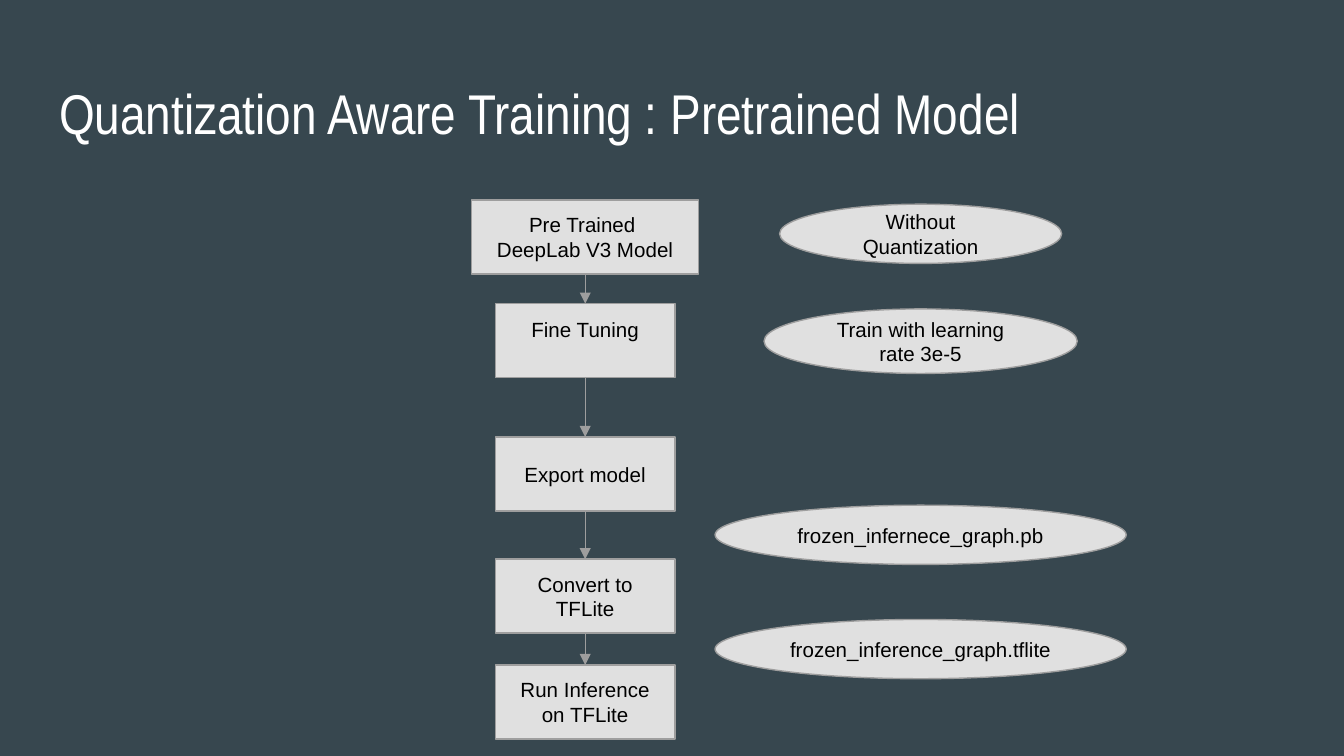
"""Build the slide on quantization aware training of a pretrained model."""
from dataclasses import dataclass
from itertools import pairwise

from lxml.etree import SubElement
from pptx import Presentation
from pptx.dml.color import RGBColor as Rgb
from pptx.enum.shapes import MSO_CONNECTOR as Connector, MSO_SHAPE as Shape
from pptx.enum.text import MSO_ANCHOR as Anchor, PP_ALIGN as Align
from pptx.oxml.ns import qn
from pptx.util import Cm, Pt


@dataclass(frozen=True)
class Theme:
    background: Rgb = Rgb(0x37, 0x47, 0x4F)
    panel: Rgb = Rgb(0xE0, 0xE0, 0xE0)
    outline: Rgb = Rgb(0x9E, 0x9E, 0x9E)
    heading: Rgb = Rgb(0xFF, 0xFF, 0xFF)
    label: Rgb = Rgb(0x00, 0x00, 0x00)
    heading_font: str = "Arial Narrow"
    label_font: str = "Arial"
    heading_size: Pt = Pt(30)
    label_size: Pt = Pt(11)
    outline_width: Pt = Pt(0.75)


THEME = Theme()
STEP_CENTER, STEP_HEIGHT = 11.06, 1.4
NOTE_CENTER = 17.4

STEPS = [
    ("Pre Trained \nDeepLab V3 Model", 3.78, 4.29, Anchor.MIDDLE),
    ("Fine Tuning", 5.74, 3.4, Anchor.TOP),
    ("Export model", 8.26, 3.4, Anchor.MIDDLE),
    ("Convert to TFLite", 10.57, 3.4, Anchor.MIDDLE),
    ("Run Inference on TFLite", 12.57, 3.4, Anchor.MIDDLE),
]
NOTES = [
    ("Without Quantization", 3.86, 5.33, 1.12),
    ("Train with learning rate 3e-5", 5.84, 5.92, 1.22),
    ("frozen_infernece_graph.pb", 9.55, 7.77, 1.12),
    ("frozen_inference_graph.tflite", 11.71, 7.77, 1.12),
]


def write(frame, wording, font, size, color, align, anchor):
    """Fill a text frame and format its paragraphs."""
    frame.text = wording
    frame.word_wrap = True
    frame.vertical_anchor = anchor
    frame.margin_left = frame.margin_right = Cm(0.25)
    frame.margin_top = frame.margin_bottom = Cm(0.25)
    for paragraph in frame.paragraphs:
        paragraph.alignment = align
        for run in paragraph.runs:
            run.font.name = font
            run.font.size = size
            run.font.color.rgb = color


def add_title(slide, wording):
    """Add the slide heading."""
    title = slide.shapes.add_textbox(Cm(0.87), Cm(1.24), Cm(23.67), Cm(1.6))
    write(title.text_frame, wording, THEME.heading_font, THEME.heading_size,
          THEME.heading, Align.LEFT, Anchor.TOP)


def add_node(slide, kind, wording, center, top, width, height, anchor=Anchor.MIDDLE):
    """Add a labelled node centred on a column and return it."""
    node = slide.shapes.add_shape(
        kind, Cm(center - width / 2), Cm(top), Cm(width), Cm(height))
    node.shadow.inherit = False
    node.fill.solid()
    node.fill.fore_color.rgb = THEME.panel
    node.line.color.rgb = THEME.outline
    node.line.width = THEME.outline_width
    write(node.text_frame, wording, THEME.label_font, THEME.label_size,
          THEME.label, Align.CENTER, anchor)
    return node


def add_arrow(slide, source, target):
    """Join the bottom of one step to the top of the next."""
    arrow = slide.shapes.add_connector(Connector.STRAIGHT, 0, 0, 0, 0)
    arrow.begin_connect(source, 2)
    arrow.end_connect(target, 0)
    arrow.line.color.rgb = THEME.outline
    arrow.line.width = THEME.outline_width
    SubElement(arrow.line._get_or_add_ln(), qn("a:tailEnd"), type="triangle")
    SubElement(arrow._element.spPr, qn("a:effectLst"))


def main():
    """Lay out the training pipeline and save the deck."""
    deck = Presentation()
    deck.slide_width, deck.slide_height = Cm(25.4), Cm(14.29)
    slide = deck.slides.add_slide(deck.slide_layouts[6])
    slide.background.fill.solid()
    slide.background.fill.fore_color.rgb = THEME.background

    add_title(slide, "Quantization Aware Training : Pretrained Model")
    pipeline = [
        add_node(slide, Shape.RECTANGLE, wording, STEP_CENTER, top, width, STEP_HEIGHT, anchor)
        for wording, top, width, anchor in STEPS
    ]
    for source, target in pairwise(pipeline):
        add_arrow(slide, source, target)
    for wording, top, width, height in NOTES:
        add_node(slide, Shape.OVAL, wording, NOTE_CENTER, top, width, height)

    deck.save("out.pptx")


if __name__ == "__main__":
    main()
